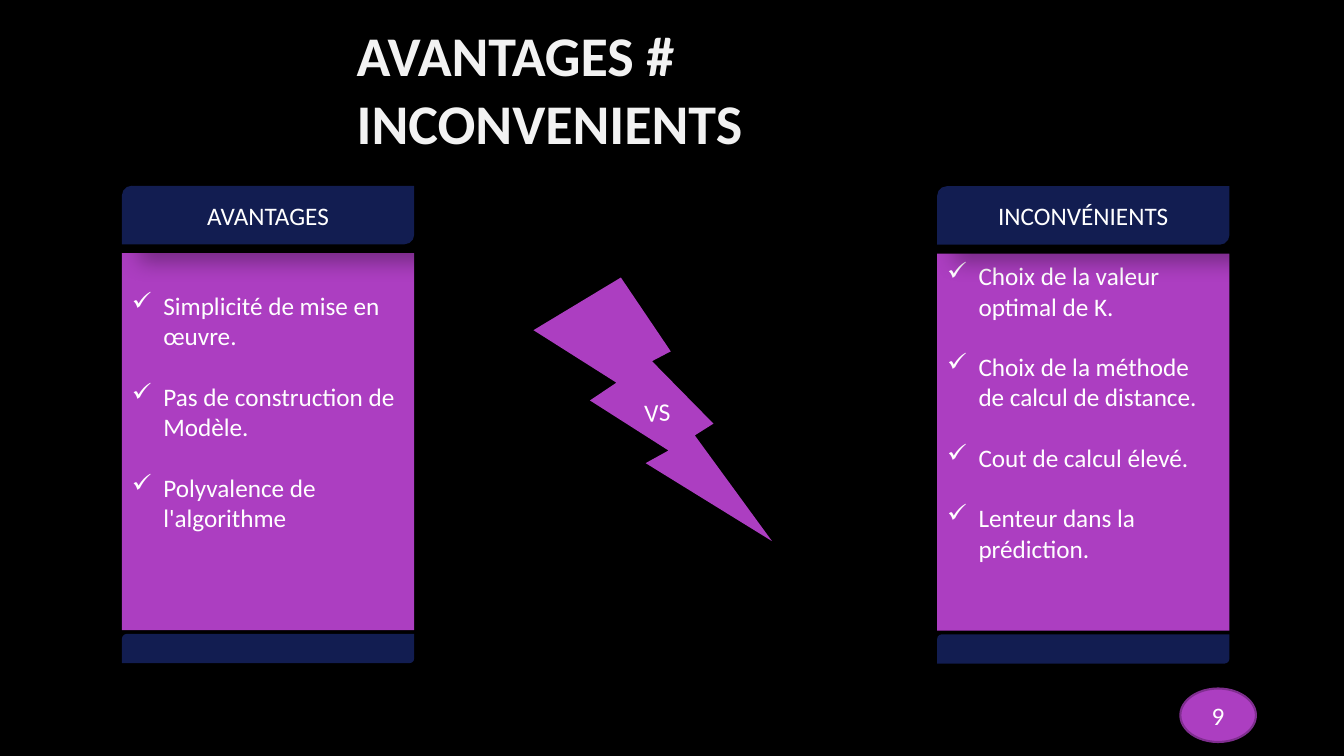
from lxml import etree
from pptx import Presentation
from pptx.dml.color import RGBColor
from pptx.enum.shapes import MSO_SHAPE
from pptx.enum.text import MSO_ANCHOR, PP_ALIGN
from pptx.oxml.ns import qn
from pptx.util import Pt

RECTANGLE = MSO_SHAPE.RECTANGLE
DIAGONAL = MSO_SHAPE.ROUND_2_DIAG_RECTANGLE
BOLT = MSO_SHAPE.LIGHTNING_BOLT
OVAL = MSO_SHAPE.OVAL
MIDDLE = MSO_ANCHOR.MIDDLE
LEFT, CENTER = PP_ALIGN.LEFT, PP_ALIGN.CENTER

BLACK, WHITE, OFF_WHITE = "000000", "FFFFFF", "F2F2F2"
PURPLE, DARK_PURPLE, NAVY = "AC3EC1", "7F2E8F", "121D51"
COLUMN_WIDTH = 208.8
LINE_HEIGHT = 21.6

ADVANTAGES = [
    "Simplicité de mise en œuvre.",
    "Pas de construction de Modèle.",
    "Polyvalence de l'algorithme",
]
DRAWBACKS = [
    "Choix de la valeur optimal de K.",
    "Choix de la méthode de calcul de distance.",
    "Cout de calcul élevé.",
    "Lenteur dans la prédiction.",
]


def color(value):
    """Return the colour of a hex string."""
    return RGBColor.from_string(value)


def add_bullet(paragraph):
    """Give a paragraph a hanging check mark."""
    properties = paragraph._p.get_or_add_pPr()
    properties.set("marL", str(Pt(22.5)))
    properties.set("indent", str(-Pt(22.5)))
    etree.SubElement(properties, qn("a:buChar"), char="✓")


def write(shape, lines, size=18, ink=WHITE, bold=False, align=CENTER,
          bulleted=False, gap=0, bottom=3.6):
    """Write paragraphs centred vertically in a shape."""
    frame = shape.text_frame
    frame.word_wrap = True
    frame.vertical_anchor = MIDDLE
    frame.margin_bottom = Pt(bottom)
    for index, line in enumerate(lines):
        paragraph = frame.add_paragraph() if index else frame.paragraphs[0]
        paragraph.alignment = align
        if index and gap:
            paragraph.space_before = Pt(gap)
        if bulleted:
            add_bullet(paragraph)
        run = paragraph.add_run()
        run.text = line
        run.font.name = "Calibri"
        run.font.size = Pt(size)
        run.font.bold = bold
        run.font.color.rgb = color(ink)


def add_shadow(shape):
    """Cast a soft shadow down and to the right."""
    effects = shape._element.spPr.find(qn("a:effectLst"))
    shadow = etree.SubElement(
        effects, qn("a:outerShdw"), blurRad=str(Pt(15)), dist=str(Pt(18)),
        dir="2700000", algn="tl", rotWithShape="0")
    tint = etree.SubElement(shadow, qn("a:srgbClr"), val=BLACK)
    etree.SubElement(tint, qn("a:alpha"), val="30000")


def add_block(slide, kind, left, top, width, height, fill, shadow=True):
    """Add a filled shape without an outline."""
    block = slide.shapes.add_shape(kind, Pt(left), Pt(top), Pt(width), Pt(height))
    block.shadow.inherit = False
    block.fill.solid()
    block.fill.fore_color.rgb = color(fill)
    block.line.fill.background()
    if shadow:
        add_shadow(block)
    return block


def add_column(slide, left, top, heading, points):
    """Add a headed column of checked points."""
    body = add_block(slide, RECTANGLE, left, top + 48.2, COLUMN_WIDTH, 269.3, PURPLE)
    write(body, points, align=LEFT, bulleted=True, gap=LINE_HEIGHT,
          bottom=3.6 + 2 * LINE_HEIGHT)
    header = add_block(slide, DIAGONAL, left, top, COLUMN_WIDTH, 41.8, NAVY)
    write(header, [heading])
    add_block(slide, DIAGONAL, left, top + 320.1, COLUMN_WIDTH, 20.9, NAVY)


def main():
    """Build the comparison slide."""
    deck = Presentation()
    deck.slide_width, deck.slide_height = Pt(960), Pt(540)
    slide = deck.slides.add_slide(deck.slide_layouts[6])
    slide.background.fill.solid()
    slide.background.fill.fore_color.rgb = color(BLACK)

    add_column(slide, 669.4, 133, "INCONVÉNIENTS", DRAWBACKS)
    add_column(slide, 87.1, 132.7, "AVANTAGES", ADVANTAGES)

    versus = add_block(slide, BOLT, 383.8, 197.3, 163.4, 193, PURPLE)
    versus.rotation = 357.4
    write(versus, ["VS"])

    title = slide.shapes.add_textbox(Pt(247.7), Pt(36.7), Pt(519.1), Pt(52.6))
    write(title, ["AVANTAGES # INCONVENIENTS"], size=40, ink=OFF_WHITE,
          bold=True, align=LEFT)

    page = add_block(slide, OVAL, 843.1, 491.8, 54, 38.2, PURPLE, shadow=False)
    page.line.color.rgb = color(DARK_PURPLE)
    page.line.width = Pt(1.5)
    write(page, ["9"])

    deck.save("out.pptx")


if __name__ == "__main__":
    main()
